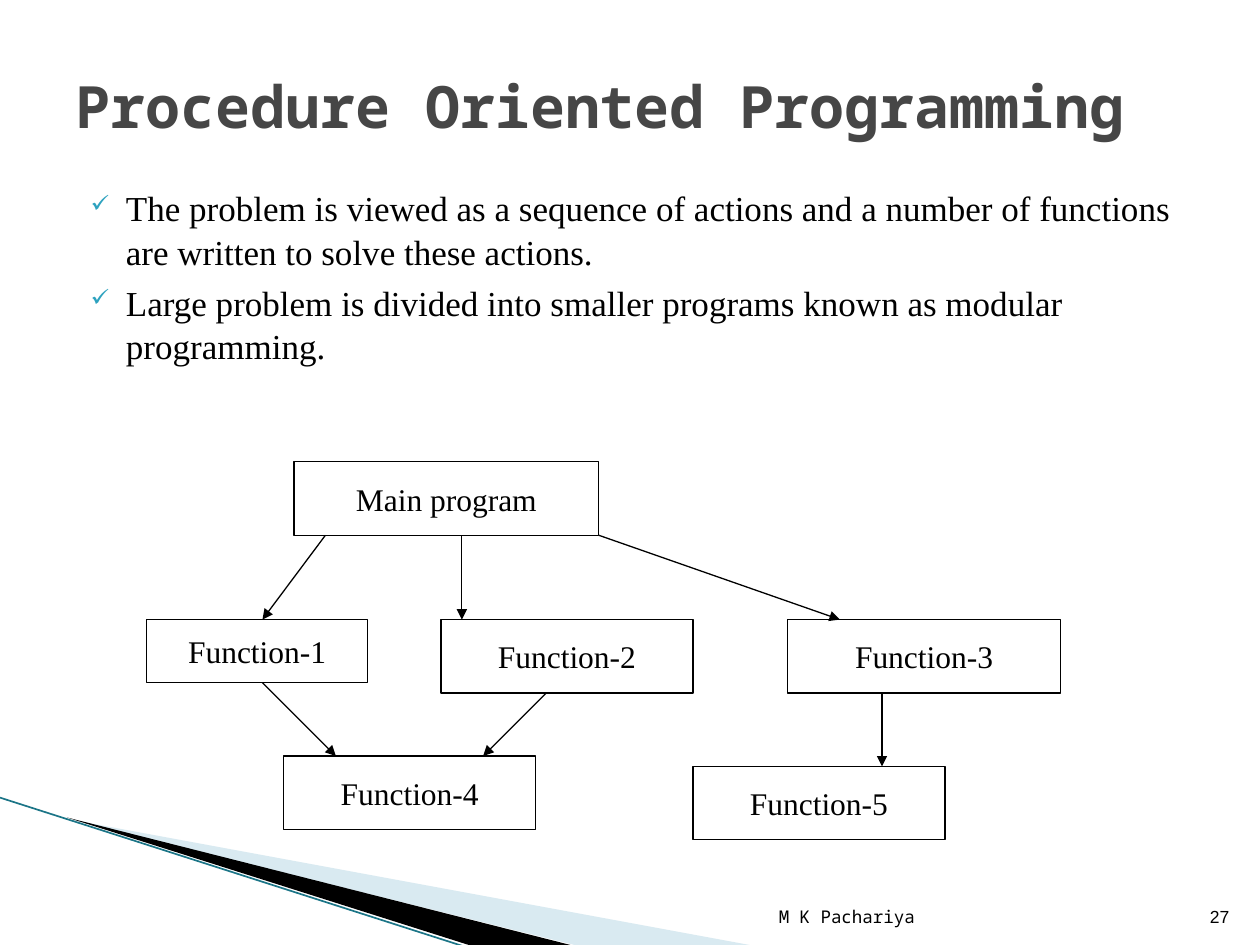
from dataclasses import dataclass

import lxml.etree
import pptx
import pptx.dml.color
import pptx.enum.shapes
import pptx.enum.text
import pptx.oxml.ns
import pptx.util

Cm = pptx.util.Cm
Pt = pptx.util.Pt
ALIGN = pptx.enum.text.PP_ALIGN
ANCHOR = pptx.enum.text.MSO_ANCHOR


@dataclass(frozen=True)
class Theme:
    white: str = "FFFFFF"
    black: str = "000000"
    title: str = "464646"
    bullet: str = "2DA2BF"
    pale_wedge: str = "A0CBDC"
    wedge_edge: str = "1B7587"
    mono: str = "Noto Sans Mono"
    serif: str = "Times New Roman"
    sans: str = "Arial"
    title_size: float = 33.3
    body_size: float = 20
    box_size: float = 18
    footer_size: float = 10
    line_width: float = 0.75


THEME = Theme()


def color(value):
    return pptx.dml.color.RGBColor.from_string(value)


def add_element(parent, tag, **attributes):
    return lxml.etree.SubElement(parent, pptx.oxml.ns.qn(tag), attributes)


def style_font(paragraph, name, size, value=THEME.black, bold=False):
    font = paragraph.font
    font.name = name
    font.size = Pt(size)
    font.bold = bold
    font.color.rgb = color(value)


def add_text(slide, left, top, width, height, anchor):
    shape = slide.shapes.add_textbox(Cm(left), Cm(top), Cm(width), Cm(height))
    frame = shape.text_frame
    frame.word_wrap = True
    frame.vertical_anchor = anchor
    return frame


def add_label(slide, text, place, anchor, align, **font):
    paragraph = add_text(slide, *place, anchor).paragraphs[0]
    paragraph.text = text
    paragraph.alignment = align
    style_font(paragraph, **font)


def add_bullets(slide, items, place):
    frame = add_text(slide, *place, ANCHOR.TOP)
    for index, item in enumerate(items):
        paragraph = frame.add_paragraph() if index else frame.paragraphs[0]
        paragraph.text = item
        paragraph.line_spacing = 1.04
        if index:
            paragraph.space_before = Pt(4)
        properties = paragraph._p.get_or_add_pPr()
        properties.set("marL", str(Cm(1.02)))
        properties.set("indent", str(Cm(-0.71)))
        bullet_color = add_element(properties, "a:buClr")
        add_element(bullet_color, "a:srgbClr", val=THEME.bullet)
        add_element(properties, "a:buSzPct", val="68000")
        add_element(properties, "a:buChar", char="✓")
        style_font(paragraph, THEME.serif, THEME.body_size)


def add_wedge(slide, points, value, opacity=None):
    start, *rest = [(Cm(x), Cm(y)) for x, y in points]
    builder = slide.shapes.build_freeform(*start)
    builder.add_line_segments(rest, close=True)
    shape = builder.convert_to_shape()
    shape.shadow.inherit = False
    shape.line.fill.background()
    shape.fill.solid()
    shape.fill.fore_color.rgb = color(value)
    if opacity:
        fill_color = shape._element.spPr.find(".//" + pptx.oxml.ns.qn("a:srgbClr"))
        add_element(fill_color, "a:alpha", val=str(opacity * 1000))


def add_line(slide, start, end, value=THEME.black, width=THEME.line_width, arrow=False):
    connector = slide.shapes.add_connector(
        pptx.enum.shapes.MSO_CONNECTOR.STRAIGHT, *start, *end)
    connector.line.color.rgb = color(value)
    connector.line.width = Pt(width)
    if arrow:
        add_element(connector.line._get_or_add_ln(), "a:tailEnd", type="triangle")
    add_element(connector._element.spPr, "a:effectLst")


def add_box(slide, text, left, top, width, height=1.48):
    shape = slide.shapes.add_shape(
        pptx.enum.shapes.MSO_SHAPE.RECTANGLE, Cm(left), Cm(top), Cm(width), Cm(height))
    shape.shadow.inherit = False
    shape.fill.solid()
    shape.fill.fore_color.rgb = color(THEME.white)
    shape.line.color.rgb = color(THEME.black)
    shape.line.width = Pt(THEME.line_width)
    frame = shape.text_frame
    frame.word_wrap = False
    frame.vertical_anchor = ANCHOR.MIDDLE
    paragraph = frame.paragraphs[0]
    paragraph.text = text
    paragraph.alignment = ALIGN.CENTER
    style_font(paragraph, THEME.serif, THEME.box_size)
    return shape


def add_call(slide, caller, start_x, callee, end_x):
    add_line(slide, (Cm(start_x), caller.top + caller.height),
             (Cm(end_x), callee.top), arrow=True)


def add_decoration(slide):
    add_wedge(slide, [(1.4, 16.52), (15.11, 19.05), (11.58, 19.05)],
              THEME.pale_wedge, opacity=40)
    add_wedge(slide, [(1.35, 16.48), (11.5, 19.05), (9.45, 19.05)], THEME.black)
    add_line(slide, (Cm(0), Cm(16.08)), (Cm(9.42), Cm(19.1)), THEME.wedge_edge, 0.95)


def add_call_diagram(slide):
    main_program = add_box(slide, "Main program", 5.93, 9.31, 6.14)
    function_1 = add_box(slide, "Function-1", 2.96, 12.49, 4.45, 1.27)
    function_2 = add_box(slide, "Function-2", 8.89, 12.49, 5.08)
    function_3 = add_box(slide, "Function-3", 15.88, 12.49, 5.5)
    function_4 = add_box(slide, "Function-4", 5.72, 15.24, 5.08)
    function_5 = add_box(slide, "Function-5", 13.97, 15.45, 5.08)
    for call in (
        (main_program, 6.56, function_1, 5.29),
        (main_program, 9.31, function_2, 9.31),
        (main_program, 12.07, function_3, 16.93),
        (function_1, 5.29, function_4, 6.77),
        (function_2, 11.01, function_4, 9.74),
        (function_3, 17.78, function_5, 17.78),
    ):
        add_call(slide, *call)


def main():
    presentation = pptx.Presentation()
    presentation.slide_width = Cm(25.4)
    presentation.slide_height = Cm(19.05)
    slide = presentation.slides.add_slide(presentation.slide_layouts[6])
    add_decoration(slide)
    add_label(slide, "M K Pachariya", (12.17, 17.8, 6.52, 1.01), ANCHOR.BOTTOM,
              ALIGN.RIGHT, name=THEME.mono, size=THEME.footer_size)
    add_label(slide, "27", (24.02, 17.8, 1.01, 1.01), ANCHOR.BOTTOM,
              ALIGN.RIGHT, name=THEME.sans, size=THEME.footer_size)
    add_label(slide, "Procedure Oriented Programming", (1.27, 1.27, 23.06, 1.7),
              ANCHOR.MIDDLE, ALIGN.LEFT, name=THEME.mono, size=THEME.title_size,
              value=THEME.title, bold=True)
    add_bullets(slide, (
        "The problem is viewed as a sequence of actions and a number of functions "
        "are written to solve these actions.",
        "Large problem is divided into smaller programs known as modular programming.",
    ), (1.27, 3.61, 22.86, 12.7))
    add_call_diagram(slide)
    presentation.save("out.pptx")


if __name__ == "__main__":
    main()
